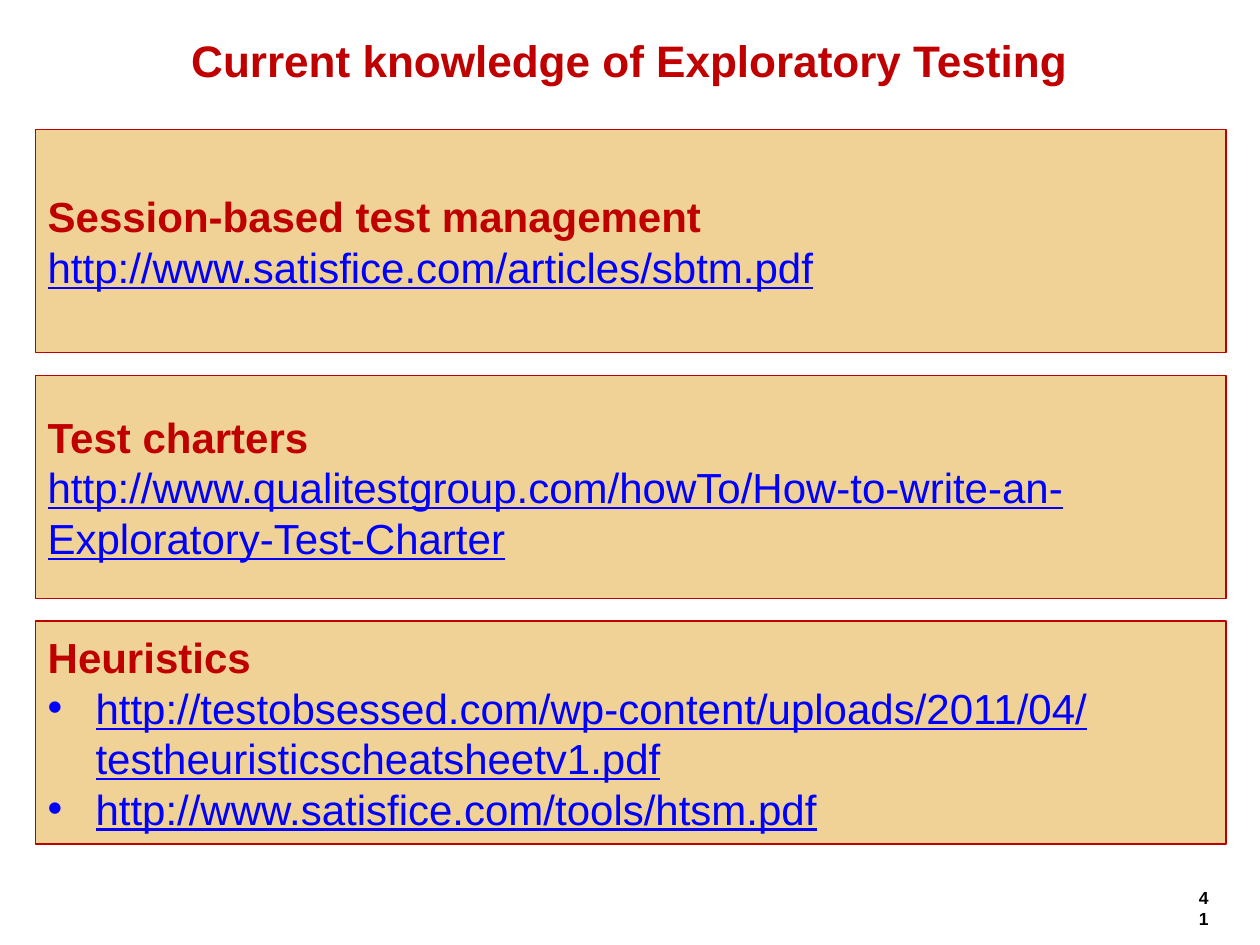
from dataclasses import dataclass

from lxml.etree import SubElement
from pptx import Presentation
from pptx.dml.color import RGBColor
from pptx.enum.shapes import MSO_SHAPE
from pptx.enum.text import MSO_ANCHOR, MSO_AUTO_SIZE, PP_ALIGN
from pptx.oxml.ns import qn
from pptx.util import Inches, Pt


@dataclass(frozen=True)
class Theme:
    font: str = "Arial"
    title_color: str = "C00000"
    heading_color: str = "BF0000"
    link_color: str = "0000FF"
    panel_color: str = "F0D296"
    number_color: str = "000000"
    title_size: float = 25.2
    body_size: float = 24
    number_size: float = 10


class SlideBuilder:
    """Draws the elements of one slide in a shared theme."""

    def __init__(self, slide, theme):
        self.slide = slide
        self.theme = theme

    def style(self, paragraph, size, color, bold=True, underline=None, align=PP_ALIGN.LEFT):
        paragraph.alignment = align
        font = paragraph.font
        font.name = self.theme.font
        font.size = Pt(size)
        font.bold = bold
        font.underline = underline
        font.color.rgb = RGBColor.from_string(color)

    def title(self, text, left, top, width, height):
        heading = self.slide.shapes.title
        heading.left, heading.top = Inches(left), Inches(top)
        heading.width, heading.height = Inches(width), Inches(height)
        frame = heading.text_frame
        frame.text = text
        frame.auto_size = MSO_AUTO_SIZE.NONE
        frame.vertical_anchor = MSO_ANCHOR.MIDDLE
        frame.margin_top = frame.margin_bottom = 0
        self.style(frame.paragraphs[0], self.theme.title_size,
                   self.theme.title_color, align=PP_ALIGN.CENTER)

    def bullet(self, paragraph, indent=0.38):
        properties = paragraph._p.get_or_add_pPr()
        properties.set("marL", str(Inches(indent)))
        properties.set("indent", str(-Inches(indent)))
        SubElement(properties, qn("a:buFont"), typeface=self.theme.font)
        SubElement(properties, qn("a:buChar"), char="•")

    def panel(self, heading, links, left, top, width, height):
        panel = self.slide.shapes.add_shape(
            MSO_SHAPE.RECTANGLE, Inches(left), Inches(top), Inches(width), Inches(height))
        panel.shadow.inherit = False
        panel.fill.solid()
        panel.fill.fore_color.rgb = RGBColor.from_string(self.theme.panel_color)
        panel.line.color.rgb = RGBColor.from_string(self.theme.heading_color)
        panel.line.width = Pt(0.75)
        frame = panel.text_frame
        frame.word_wrap = True
        frame.vertical_anchor = MSO_ANCHOR.MIDDLE
        frame.text = "\n".join([heading, *links])
        topic, *addresses = frame.paragraphs
        self.style(topic, self.theme.body_size, self.theme.heading_color)
        for address in addresses:
            if len(addresses) > 1:
                self.bullet(address)
            self.style(address, self.theme.body_size, self.theme.link_color,
                       bold=False, underline=True)

    def page_number(self, number, left, top, width, height):
        box = self.slide.shapes.add_textbox(
            Inches(left), Inches(top), Inches(width), Inches(height))
        frame = box.text_frame
        frame.word_wrap = True
        frame.text = str(number)
        self.style(frame.paragraphs[0], self.theme.number_size,
                   self.theme.number_color, align=PP_ALIGN.RIGHT)


TOPICS = [
    ("Session-based test management", ["http://www.satisfice.com/articles/sbtm.pdf"]),
    ("Test charters",
     ["http://www.qualitestgroup.com/howTo/How-to-write-an-Exploratory-Test-Charter"]),
    ("Heuristics",
     ["http://testobsessed.com/wp-content/uploads/2011/04/testheuristicscheatsheetv1.pdf",
      "http://www.satisfice.com/tools/htsm.pdf"]),
]


def main():
    presentation = Presentation()
    presentation.slide_width, presentation.slide_height = Inches(10), Inches(7.5)
    title_only = presentation.slide_layouts[5]
    builder = SlideBuilder(presentation.slides.add_slide(title_only), Theme())
    builder.page_number(41, 9.41, 6.99, 0.28, 0.27)
    builder.title("Current knowledge of Exploratory Testing", 0.39, 0.28, 9.21, 0.39)
    first_top, pitch = 1.03, 1.95
    for row, (heading, links) in enumerate(TOPICS):
        builder.panel(heading, links, 0.28, first_top + row * pitch, 9.45, 1.77)
    presentation.save("out.pptx")


if __name__ == "__main__":
    main()
